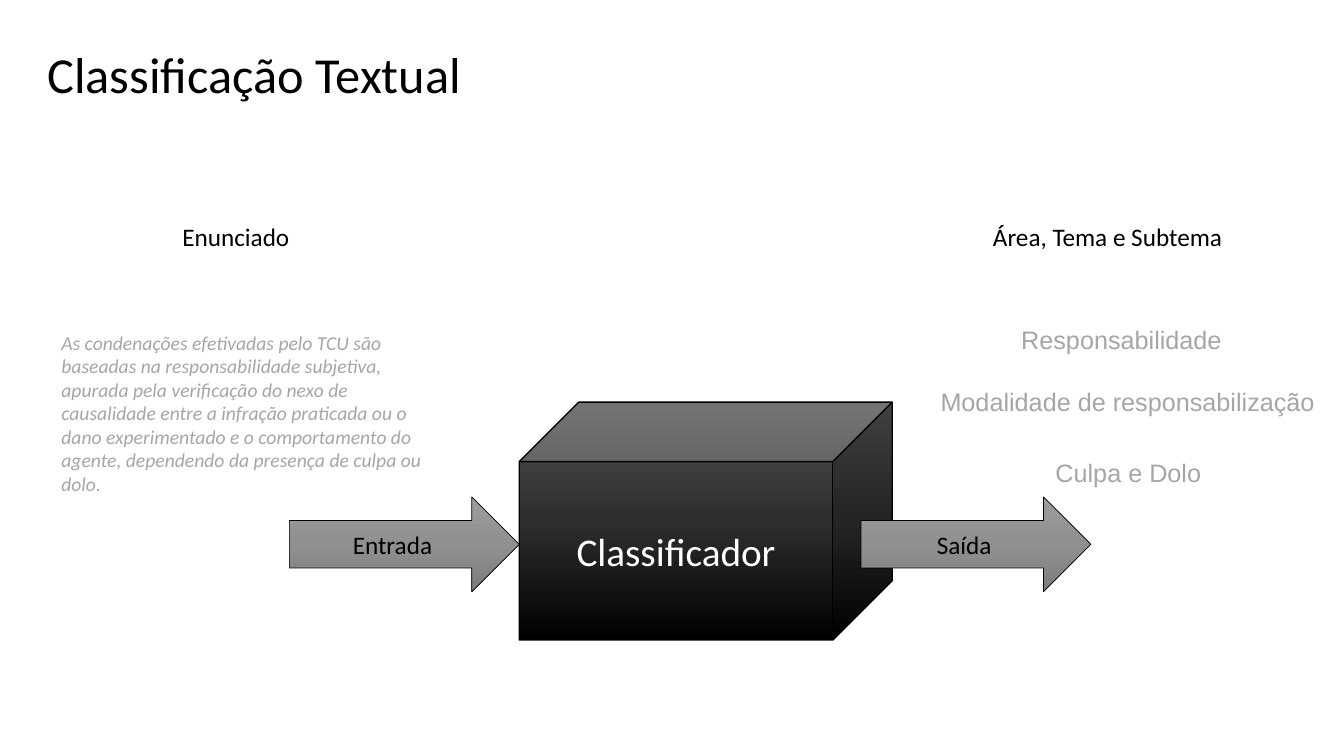
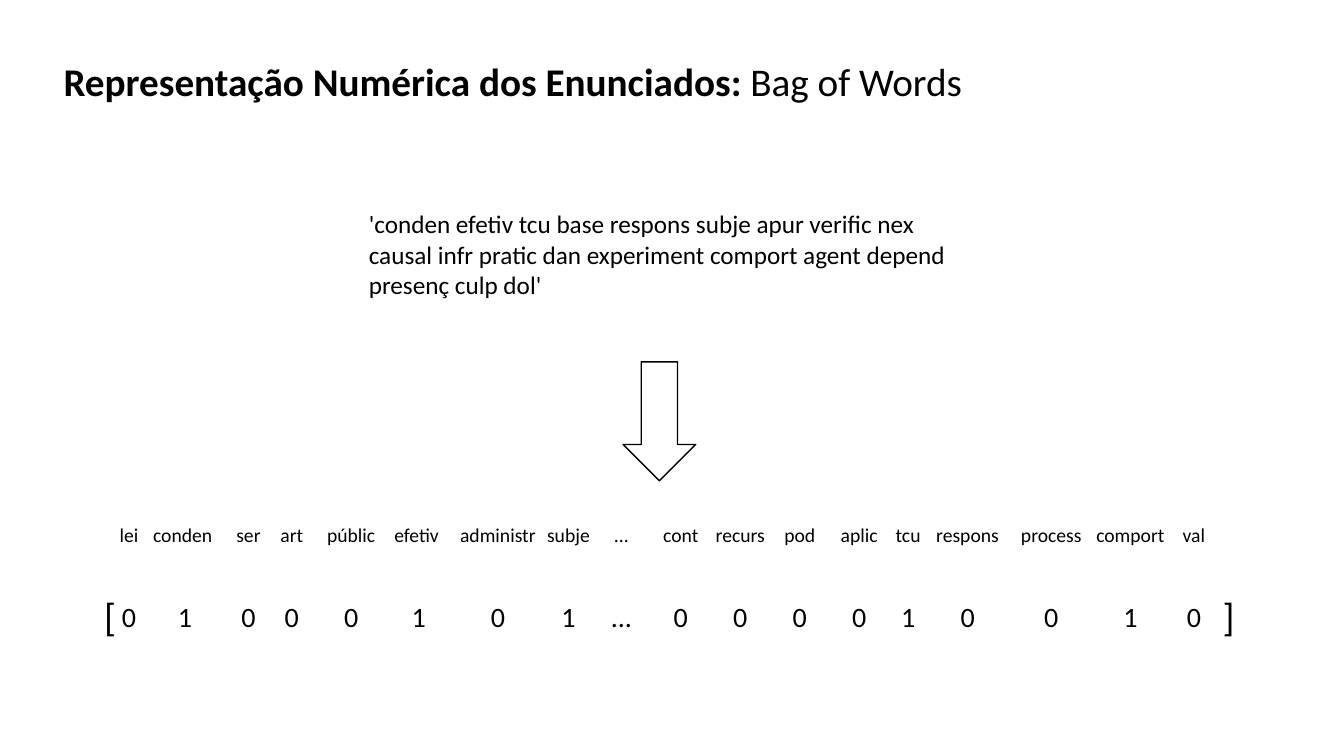
from lxml.etree import SubElement
from pptx import Presentation
from pptx.dml.color import RGBColor
from pptx.enum.shapes import MSO_SHAPE
from pptx.enum.text import MSO_ANCHOR, MSO_AUTO_SIZE, PP_ALIGN
from pptx.oxml.ns import qn
from pptx.util import Inches, Pt

BLACK = RGBColor(0x00, 0x00, 0x00)
WHITE = RGBColor(0xFF, 0xFF, 0xFF)
GRAY = RGBColor(0xA6, 0xA6, 0xA6)
DARK = (RGBColor(0x51, 0x51, 0x51), RGBColor(0x2E, 0x2E, 0x2E), BLACK)
STEEL = (RGBColor(0x9D, 0x9D, 0x9D), RGBColor(0x90, 0x90, 0x90),
         RGBColor(0x7C, 0x7C, 0x7C))

WORDS = ("|lei|conden |ser|art|públic|efetiv |administr|subje |...|cont|recurs"
         "|pod|aplic|tcu|respons|process|comport |val|").split("|")
BITS = "[ 0 1 0 0 0 1 0 1 ... 0 0 0 0 1 0 0 1 0 ]".split()
COLS = (0.24, 0.24, 0.87, 0.39, 0.47, 0.71, 0.63, 0.94, 0.46, 0.59,
        0.59, 0.59, 0.59, 0.59, 0.38, 0.8, 0.86, 0.71, 0.55, 0.24)
SIDES = {"[": PP_ALIGN.RIGHT, "]": PP_ALIGN.LEFT}


def add_run(para, text, size, color=BLACK, face="Calibri", bold=False, italic=False):
    run = para.add_run()
    run.text = text
    font = run.font
    font.name, font.size = face, Pt(size)
    font.bold, font.italic = bold, italic
    font.color.rgb = color


def add_title(slide, box, size, *parts):
    title = slide.shapes.title
    title.left, title.top, title.width, title.height = map(Inches, box)
    frame = title.text_frame
    frame.auto_size = MSO_AUTO_SIZE.NONE
    frame.vertical_anchor = MSO_ANCHOR.TOP
    para = frame.paragraphs[0]
    para.alignment = PP_ALIGN.LEFT
    for text, bold in parts:
        add_run(para, text, size, bold=bold)


def add_text(slide, box, text, size=18, wrap=False, **style):
    frame = slide.shapes.add_textbox(*map(Inches, box)).text_frame
    frame.word_wrap = wrap
    add_run(frame.paragraphs[0], text, size, **style)


def add_block(slide, kind, box, width):
    shape = slide.shapes.add_shape(kind, *map(Inches, box))
    shape.shadow.inherit = False
    shape.line.color.rgb = BLACK
    shape.line.width = Pt(width)
    return shape


def shade(shape, colors):
    shape.fill.gradient()
    shape.fill.gradient_angle = 270
    stops = shape.element.spPr.find(qn("a:gradFill")).find(qn("a:gsLst"))
    for stop in list(stops):
        stops.remove(stop)
    for step, color in enumerate(colors):
        stop = SubElement(stops, qn("a:gs"), pos=str(step * 50000))
        SubElement(stop, qn("a:srgbClr"), val=str(color))


def label(shape, text, size, color=BLACK):
    frame = shape.text_frame
    frame.vertical_anchor = MSO_ANCHOR.MIDDLE
    para = frame.paragraphs[0]
    para.alignment = PP_ALIGN.CENTER
    add_run(para, text, size, color)


def add_flow(slide, left, top):
    cube = add_block(slide, MSO_SHAPE.CUBE, (left + 2.28, top, 3.7, 2.36), 1)
    shade(cube, DARK)
    label(cube, "Classificador", 28, WHITE)
    for shift, text in ((0, "Entrada"), (5.67, "Saída")):
        box = (left + shift, top + 0.94, 2.28, 0.94)
        arrow = add_block(slide, MSO_SHAPE.RIGHT_ARROW, box, 0.5)
        shade(arrow, STEEL)
        label(arrow, text, 18)


def add_vector(slide, left, top):
    high = 0.46
    frame = slide.shapes.add_table(3, len(COLS), Inches(left), Inches(top),
                                   Inches(sum(COLS)), Inches(3 * high))
    table = frame.table
    table.first_row = table.horz_banding = False
    for col, width in zip(table.columns, COLS):
        col.width = Inches(width)
    for row in table.rows:
        row.height = Inches(high)
    for cell in table.iter_cells():
        cell.fill.background()
        cell.margin_left = cell.margin_right = cell.margin_top = Inches(0.01)
        cell.margin_bottom = 0
    rows = ((0, WORDS, 14, MSO_ANCHOR.BOTTOM), (2, BITS, 20, MSO_ANCHOR.MIDDLE))
    for row, texts, size, anchor in rows:
        for col, text in enumerate(texts):
            if text:
                cell = table.cell(row, col)
                cell.vertical_anchor = anchor
                para = cell.text_frame.paragraphs[0]
                para.alignment = SIDES.get(text, PP_ALIGN.CENTER)
                add_run(para, text, 28 if text in SIDES else size)


def build_flow(slide):
    add_title(slide, (0.37, 0.38, 11.07, 0.71), 36, ("Classificação Textual", False))
    add_text(slide, (1.71, 2.15, 1.39, 0.4), "Enunciado")
    add_text(slide, (9.75, 2.15, 2.78, 0.4), "Área, Tema e Subtema")
    add_text(slide, (0.51, 3.23, 4.02, 1.75),
             "As condenações efetivadas pelo TCU são baseadas na responsabilidade "
             "subjetiva, apurada pela verificação do nexo de causalidade entre a "
             "infração praticada ou o dano experimentado e o comportamento do "
             "agente, dependendo da presença de culpa ou dolo.",
             14, True, color=GRAY, italic=True)
    add_flow(slide, 2.87, 3.99)
    for left, top, width, text in (
            (10.03, 3.17, 2.21, "Responsabilidade"),
            (9.23, 3.78, 3.95, "Modalidade de responsabilização"),
            (10.37, 4.49, 1.66, "Culpa e Dolo")):
        add_text(slide, (left, top, width, 0.4), text, color=GRAY, face="Arial")


def build_bag(slide):
    add_title(slide, (0.53, 0.52, 11.41, 0.57), 28,
              ("Representação Numérica dos Enunciados: ", True),
              ("Bag of Words", False))
    add_text(slide, (3.56, 2.02, 5.97, 1.01),
             "'conden efetiv tcu base respons subje apur verific nex causal infr "
             "pratic dan experiment comport agent depend presenç culp dol'", wrap=True)
    arrow = add_block(slide, MSO_SHAPE.DOWN_ARROW, (6.18, 3.59, 0.72, 1.18), 1)
    arrow.fill.solid()
    arrow.fill.fore_color.rgb = WHITE
    add_vector(slide, 0.92, 4.97)


def main():
    deck = Presentation()
    deck.slide_width, deck.slide_height = Inches(13.33), Inches(7.5)
    for build in (build_flow, build_bag):
        build(deck.slides.add_slide(deck.slide_layouts[5]))
    deck.save("out.pptx")


if __name__ == "__main__":
    main()
